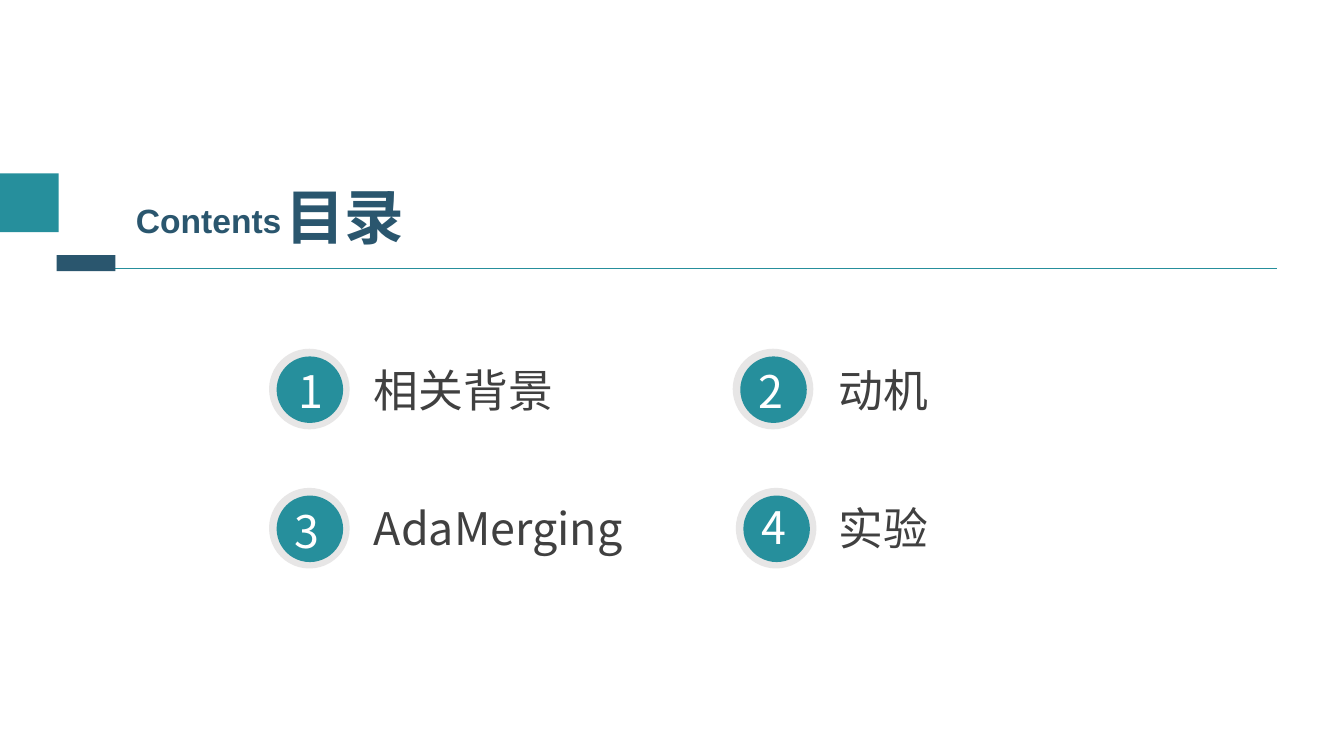
"""Build the contents slide with four numbered topics."""
from lxml.etree import SubElement
from pptx import Presentation
from pptx.dml.color import RGBColor
from pptx.enum.shapes import MSO_CONNECTOR as CONNECTOR, MSO_SHAPE as SHAPE
from pptx.enum.text import MSO_ANCHOR as ANCHOR
from pptx.oxml.ns import qn
from pptx.util import Pt

TEAL = RGBColor(0x26, 0x8F, 0x9C)
NAVY = RGBColor(0x2A, 0x56, 0x6E)
GRAY = RGBColor(0xE7, 0xE6, 0xE6)
DARK = RGBColor(0x40, 0x40, 0x40)
WHITE = RGBColor(0xFF, 0xFF, 0xFF)
CHINESE_FONT = "Noto Sans CJK SC"


def add_block(parent, kind, left, top, width, height, color):
    shape = parent.shapes.add_shape(kind, Pt(left), Pt(top), Pt(width), Pt(height))
    shape.shadow.inherit = False
    shape.fill.solid()
    shape.fill.fore_color.rgb = color
    shape.line.fill.background()


def add_text(parent, text, left, top, width, height, color, size=32, name=CHINESE_FONT, bold=False):
    box = parent.shapes.add_textbox(Pt(left), Pt(top), Pt(width), Pt(height))
    frame = box.text_frame
    frame.word_wrap = True
    frame.vertical_anchor = ANCHOR.MIDDLE
    run = frame.paragraphs[0].add_run()
    run.text = text
    run.font.color.rgb = color
    for attribute, value in {"size": Pt(size), "name": name, "bold": bold}.items():
        setattr(run.font, attribute, value)
    SubElement(run.font._element, qn("a:ea"), typeface=name)


presentation = Presentation()
presentation.slide_width = Pt(960)
presentation.slide_height = Pt(540)
slide = presentation.slides.add_slide(presentation.slide_layouts[6])

rule = slide.shapes.add_connector(CONNECTOR.STRAIGHT, Pt(42.5), Pt(191.5), Pt(912.2), Pt(191.5))
rule.line.color.rgb = TEAL
rule.line.width = Pt(0.75)
SubElement(rule._element.spPr, qn("a:effectLst"))

add_text(slide, "目录", 196.6, 124.6, 123.1, 59, NAVY, size=42.6, bold=True)
add_text(slide, "Contents", 90, 139, 148.3, 36, NAVY, size=24, name="Arial", bold=True)
add_block(slide, SHAPE.RECTANGLE, 0, 123.8, 42, 42, TEAL)

topics = [
    ("相关背景", 192.2, 205.9, 256.3, 252.7),
    ("动机", 523.4, 535, 256.3, 230.4),
    ("AdaMerging", 192.2, 203, 355.7, 241.2),
    ("实验", 525.6, 537.1, 352.8, 330.5),
]
for index, (topic, ring_left, digit_left, digit_top, label_width) in enumerate(topics):
    row, column = divmod(index, 2)
    ring_top = 249.1 + 99.4 * row
    badge = slide.shapes.add_group_shape()
    add_block(badge, SHAPE.OVAL, ring_left, ring_top, 57.6, 57.6, GRAY)
    add_block(badge, SHAPE.OVAL, ring_left + 5.4, ring_top + 5.5, 47.5, 47.5, TEAL)
    add_text(badge, str(index + 1), digit_left, digit_top, 34.6, 46, WHITE)
    add_text(slide, topic, 259.9 + 331.9 * column, 255.4 + 98.8 * row, label_width, 46, DARK)

add_block(slide, SHAPE.RECTANGLE, 40.5, 182.2, 42, 11.5, NAVY)

presentation.save("out.pptx")
